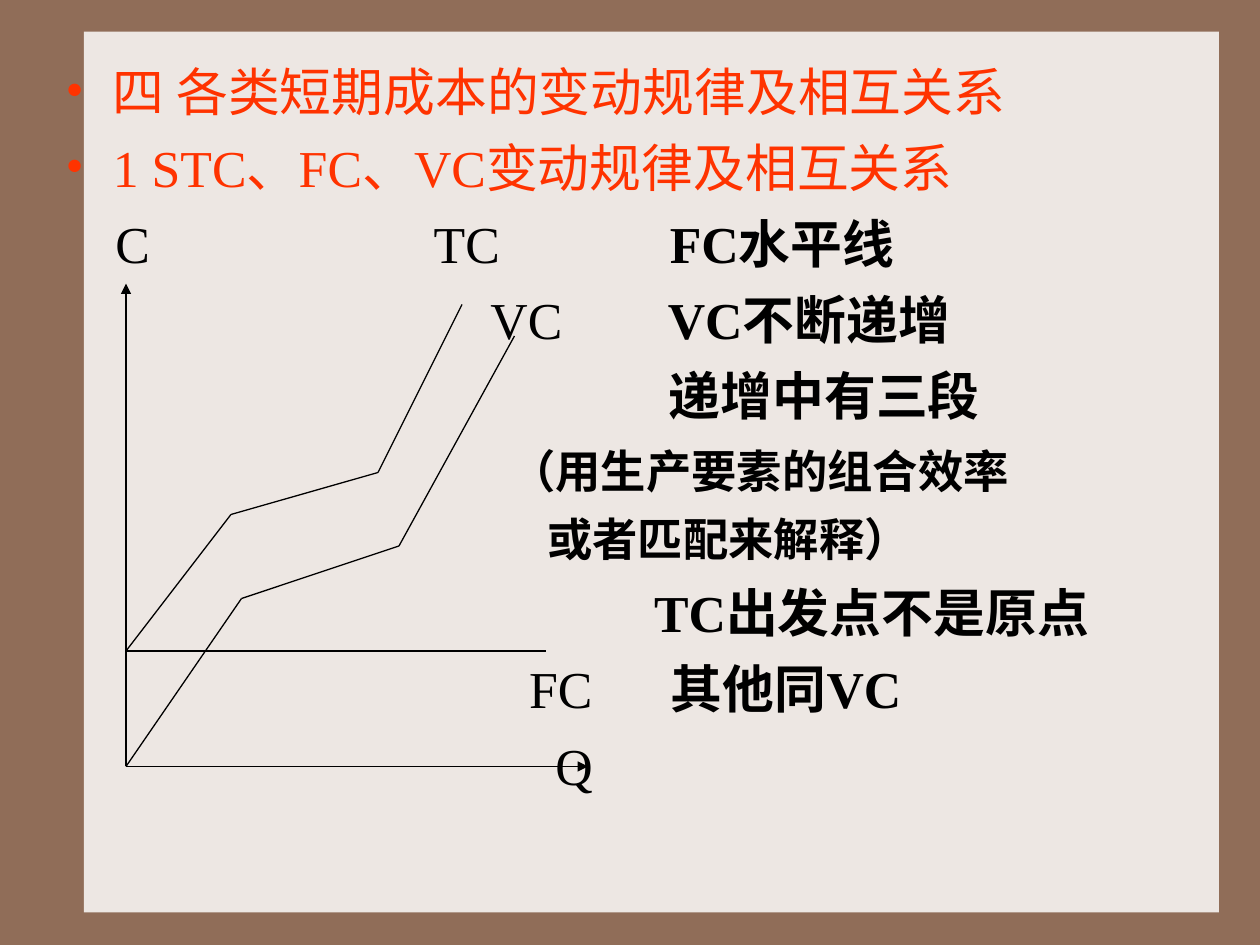
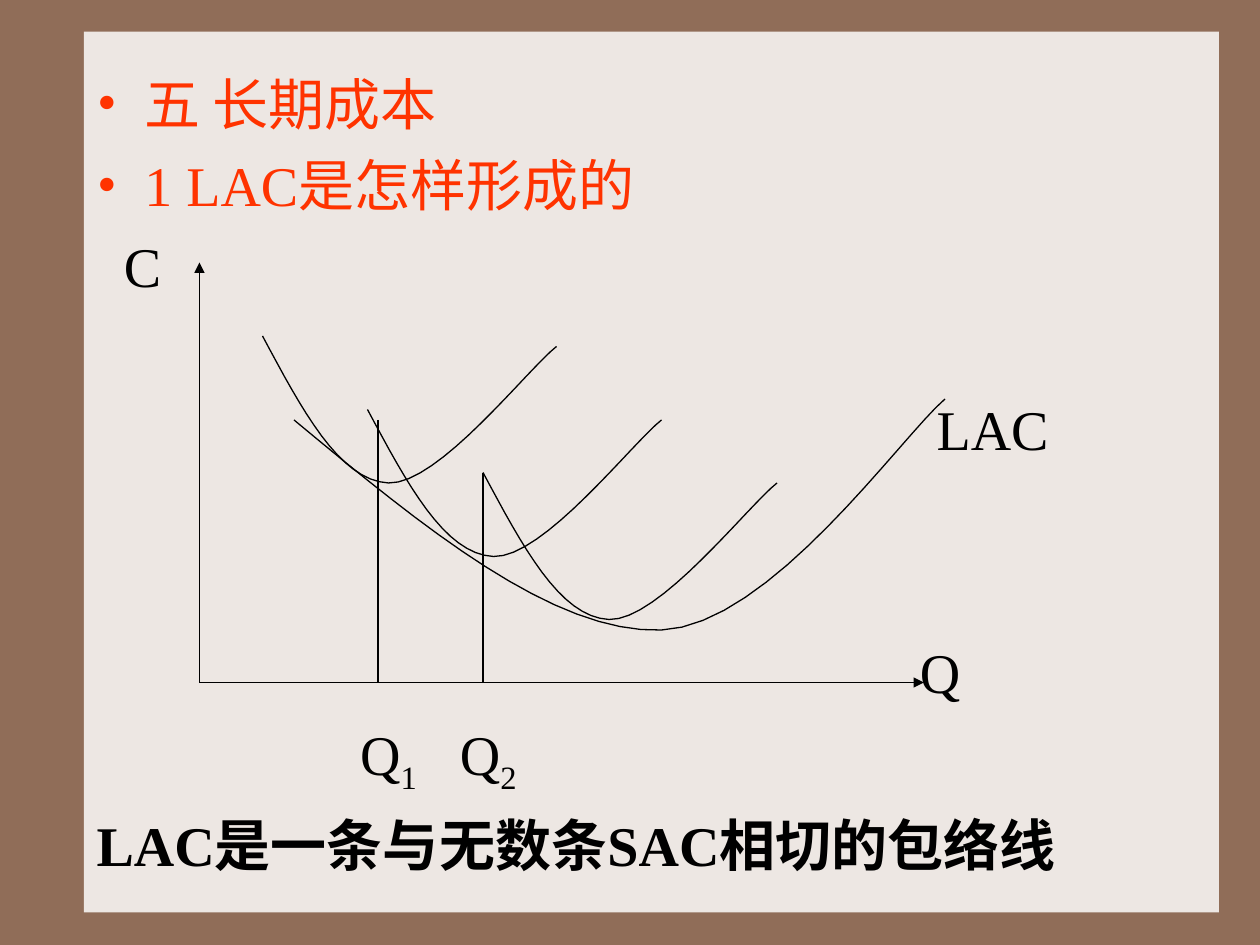
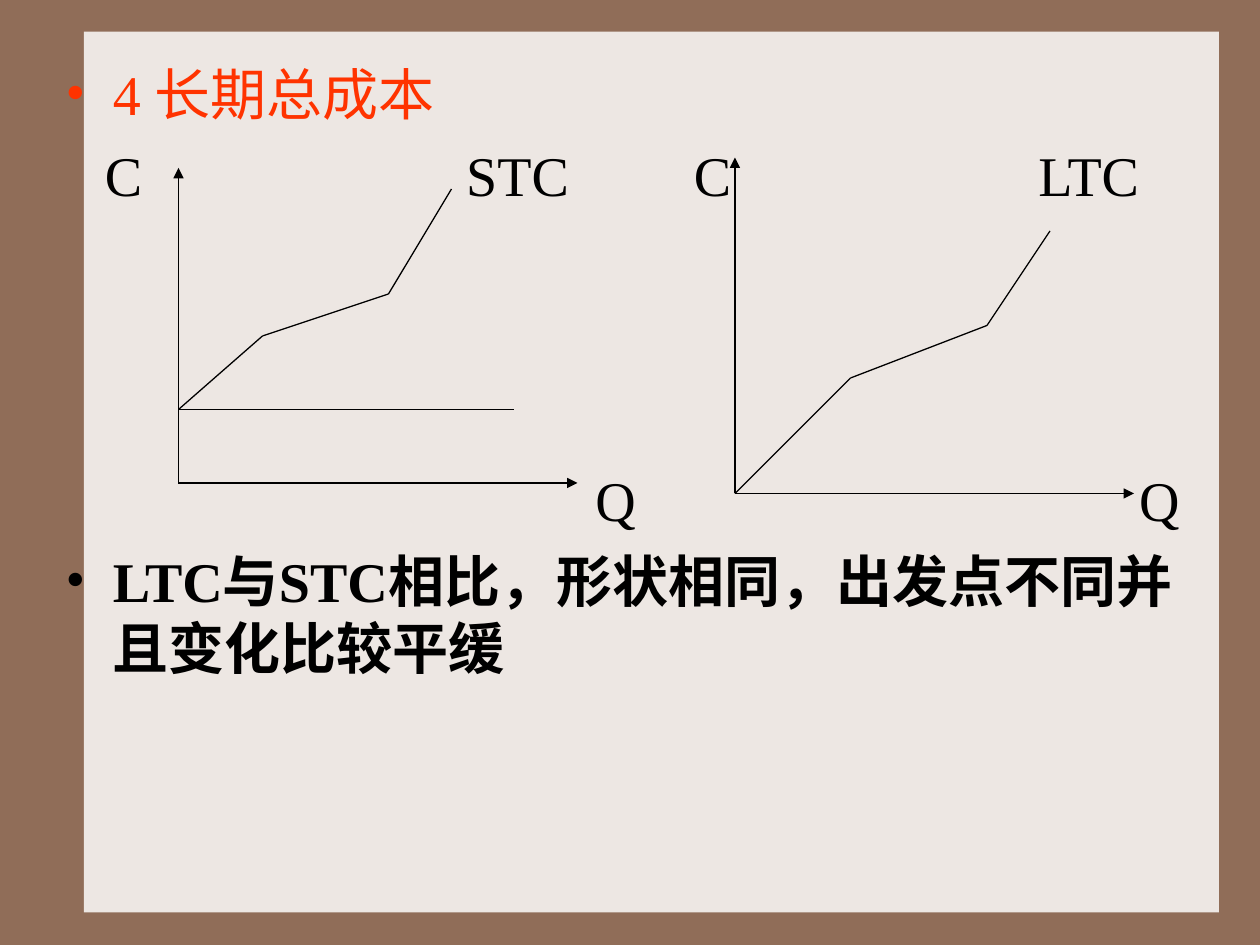
from itertools import pairwise
from lxml import etree
from pptx import Presentation
from pptx.dml.color import RGBColor
from pptx.enum.shapes import MSO_CONNECTOR, MSO_SHAPE
from pptx.enum.text import MSO_ANCHOR, MSO_AUTO_SIZE, PP_ALIGN
from pptx.oxml.ns import qn
from pptx.util import Cm, Pt

BROWN, CREAM, RED, BLACK = "906D58", "EDE7E3", "FF3300", "000000"
FONT = "Times New Roman"
LEAD, GAP = 1.2, 8      # line height in ems, space between rows in points
HANG = 4.5              # bullet indent in grid units
UNIT = 6                # points in one grid unit (a twelfth of an inch)
WIDE, HIGH = 120, 90
PANEL = (8, 3, 108.1, 83.9)

# Labels and notes: text, left in grid units, row, format
BOLD = {"bold": True}
SMALL = {"bold": True, "size": 25.9}
SAC = [(0, 0), (3.7, 6.9), (7.3, 13.8), (12, 14), (16.7, 14.2), (25.3, 3.1), (28, 1)]
LAC = [(0, 0), (12.3, 10.2), (24.7, 20.4), (35, 20), (45.3, 19.6), (57.8, 1.6), (62, -2)]

SLIDES = [
    {
        "heads": ["四 各类短期成本的变动规律及相互关系", "1 STC、FC、VC变动规律及相互关系"],
        "start": (6.24, 5.64),
        "size": 29.6,
        "labels": [
            ("C", 11, 2, {}),
            ("TC", 41.3, 2, {}),
            ("VC", 46.7, 3, {}),
            ("FC", 50.4, 7.85, {}),
            ("Q", 52.9, 8.85, {}),
            ("FC水平线", 63.8, 2, BOLD),
            ("VC不断递增", 63.6, 3, BOLD),
            ("递增中有三段", 63.7, 4, BOLD),
            ("（用生产要素的组合效率", 48.6, 5.04, SMALL),
            ("或者匹配来解释）", 52.1, 5.94, SMALL),
            ("TC出发点不是原点", 62.3, 6.85, BOLD),
            ("其他同VC", 63.9, 7.85, BOLD),
        ],
        "axes": [((12, 73), 27, 56)],
        "paths": [
            [(12, 62), (52, 62)],
            [(12, 73), (23, 57), (38, 52), (49, 32)],
            [(12, 62), (22, 49), (36, 45), (44, 29)],
        ],
    },
    {
        "heads": ["五 长期成本", "1 LAC是怎样形成的"],
        "start": (9.24, 6.6),
        "size": 32,
        "labels": [
            ("C", 11.8, 2, {}),
            ("LAC", 89.2, 4, {}),
            ("Q", 87.6, 7, {}),
            ("Q", 34.3, 8.12, {"sub": "1"}),
            ("Q", 43.8, 8.12, {"sub": "2"}),
            ("LAC是一条与无数条SAC相切的包络线", 9.2, 9.13, BOLD),
        ],
        "axes": [((19, 65), 25, 88)],
        "paths": [[(36, 40), (36, 65)], [(46, 45), (46, 65)]],
        "curves": [((25, 32), SAC), ((35, 39), SAC), ((46, 45), SAC), ((28, 40), LAC)],
    },
    {
        "heads": ["4 长期总成本"],
        "start": (6.24, 5.64),
        "size": 32,
        "labels": [
            ("C", 10, 1, {}),
            ("STC", 44.4, 1, {}),
            ("C", 66.1, 1, {}),
            ("LTC", 98.9, 1, {}),
            ("Q", 56.7, 5, {}),
            ("Q", 108.5, 5, {}),
            ("LTC与STC相比，形状相同，出发点不同并且变化比较平缓", 6.24, 6,
             {"bold": True, "bullet": True, "width": 107.6}),
        ],
        "axes": [((17, 46), 16, 55), ((70, 47), 15, 108)],
        "paths": [
            [(17, 39), (49, 39)],
            [(17, 39), (25, 32), (37, 28), (43, 18)],
            [(70, 47), (81, 36), (94, 31), (100, 22)],
        ],
    },
]


def grid(*nums):
    """Turn grid units into lengths."""
    return [Cm(n * 2.54 / 12) for n in nums]


def paint(color, code):
    color.rgb = RGBColor.from_string(code)


def mark(para, code):
    """Give a paragraph a hanging round bullet."""
    props = para._p.get_or_add_pPr()
    left = grid(HANG)[0]
    props.set("marL", str(left))
    props.set("indent", str(-left))
    tint = etree.SubElement(props, qn("a:buClr"))
    etree.SubElement(tint, qn("a:srgbClr"), val=code)
    etree.SubElement(props, qn("a:buFont"), typeface=FONT)
    etree.SubElement(props, qn("a:buChar"), char="•")


def write(frame, lines, size, color=BLACK, bold=False, bullet=False, sub=""):
    frame.word_wrap = True
    frame.auto_size = MSO_AUTO_SIZE.NONE
    frame.vertical_anchor = MSO_ANCHOR.TOP
    frame.margin_left = frame.margin_right = frame.margin_top = frame.margin_bottom = 0
    for i, line in enumerate(lines):
        para = frame.add_paragraph() if i else frame.paragraphs[0]
        if bullet:
            mark(para, color)
        para.alignment = PP_ALIGN.LEFT
        para.line_spacing = Pt(size * LEAD)
        para.space_before = Pt(GAP if i else 0)
        for part in filter(None, (line, sub)):
            run = para.add_run()
            run.text = part
            run.font.name, run.font.size, run.font.bold = FONT, Pt(size), bold
            paint(run.font.color, color)
        if sub:
            run._r.get_or_add_rPr().set("baseline", "-25000")


def span(text, size):
    """Estimate a width in grid units that holds the text on one line."""
    ems = 1.5 + sum(0.8 if c.isascii() else 1.05 for c in text)
    return ems * size / UNIT


def stroke(shape):
    paint(shape.line.color, BLACK)
    shape.line.width = Pt(0.75)


def line(slide, start, end, arrow=False):
    link = slide.shapes.add_connector(MSO_CONNECTOR.STRAIGHT, *grid(*start, *end))
    stroke(link)
    if arrow:
        etree.SubElement(link.line._get_or_add_ln(), qn("a:tailEnd"), type="triangle")
    etree.SubElement(link._element.spPr, qn("a:effectLst"))


def bezier(a, b, c, d, steps=16):
    for i in range(1, steps + 1):
        t = i / steps
        u = 1 - t
        yield tuple(u**3 * p + 3 * u * u * t * q + 3 * u * t * t * r + t**3 * s
                    for p, q, r, s in zip(a, b, c, d))


def curve(slide, start, knots):
    """Draw two joined cubic arcs whose knots are relative to start."""
    dots = [(start[0] + x, start[1] + y) for x, y in knots]
    pen = slide.shapes.build_freeform(*grid(*dots[0]))
    points = [*bezier(*dots[:4]), *bezier(*dots[3:])]
    pen.add_line_segments([grid(*p) for p in points], close=False)
    shape = pen.convert_to_shape()
    shape.fill.background()
    shape.shadow.inherit = False
    stroke(shape)


def backdrop(deck, layout, slide):
    """Colour the master and put the panel behind everything in the layout."""
    fill = deck.slide_master.background.fill
    fill.solid()
    paint(fill.fore_color, BROWN)
    panel = slide.shapes.add_shape(MSO_SHAPE.RECTANGLE, *grid(*PANEL))
    panel.fill.solid()
    paint(panel.fill.fore_color, CREAM)
    panel.line.fill.background()
    panel.shadow.inherit = False
    layout.shapes._spTree.insert(2, panel._element)


def build(slide, page):
    left, top = page["start"]
    size, heads = page["size"], page["heads"]
    pitch = (size * LEAD + GAP) / UNIT
    title = slide.shapes.title
    title.left, title.top, title.width, title.height = grid(
        left, top, 106, pitch * len(heads))
    write(title.text_frame, heads, size, color=RED, bullet=True)
    for text, x, row, style in page["labels"]:
        style = {"size": size, **style}
        width = style.pop("width", span(text, style["size"]))
        box = slide.shapes.add_textbox(*grid(x, top + row * pitch, width, pitch))
        write(box.text_frame, [text], **style)
    for (x, y), peak, end in page["axes"]:
        line(slide, (x, y), (x, peak), arrow=True)
        line(slide, (x, y), (end, y), arrow=True)
    for start, knots in page.get("curves", []):
        curve(slide, start, knots)
    for points in page["paths"]:
        for a, b in pairwise(points):
            line(slide, a, b)


def main():
    deck = Presentation()
    deck.slide_width, deck.slide_height = grid(WIDE, HIGH)
    layout = deck.slide_layouts[5]
    for i, page in enumerate(SLIDES):
        slide = deck.slides.add_slide(layout)
        if i == 0:
            backdrop(deck, layout, slide)
        build(slide, page)
    deck.save("out.pptx")


if __name__ == "__main__":
    main()
